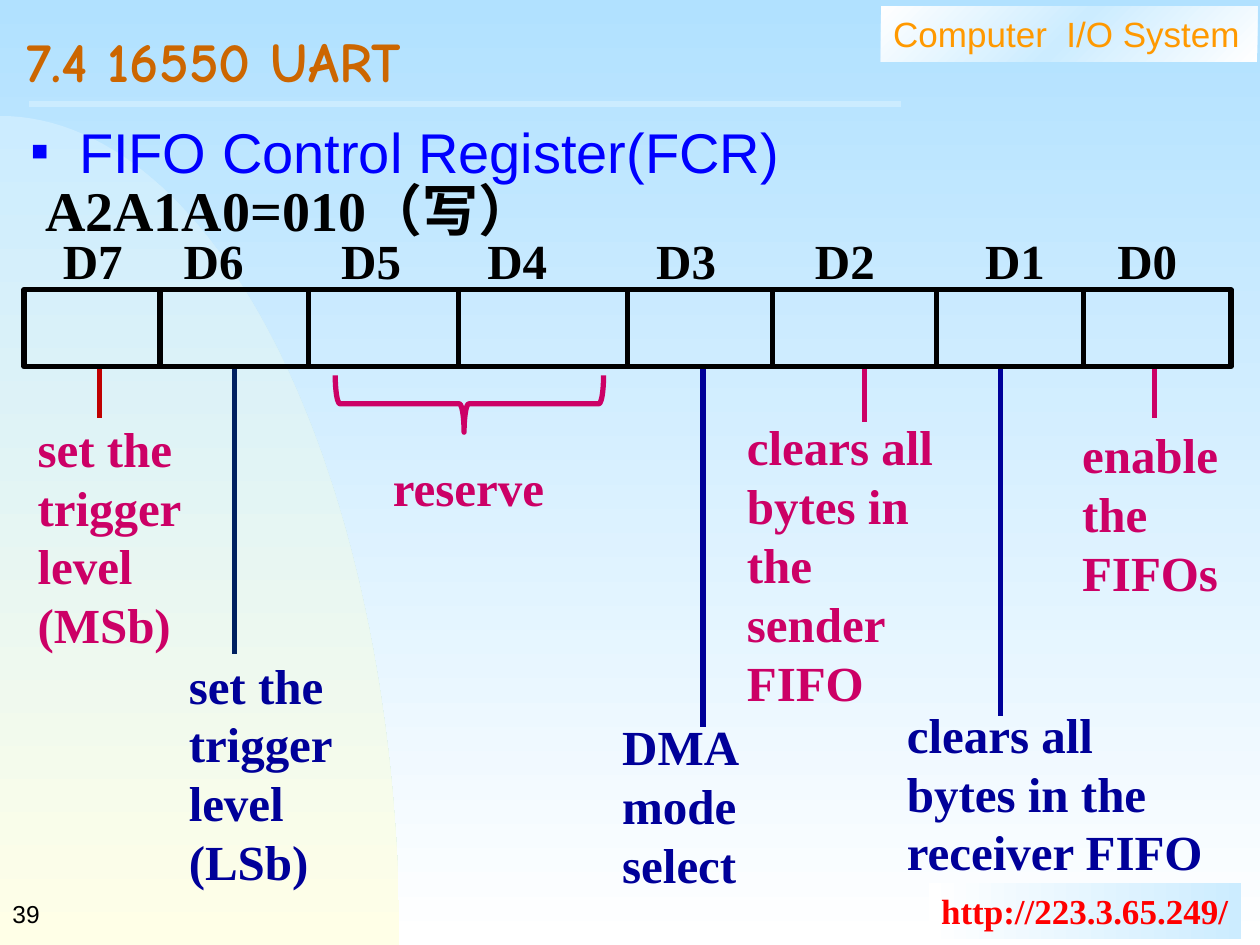
from copy import deepcopy
from dataclasses import dataclass
from math import cos, pi, sin
from typing import Optional

from lxml.etree import SubElement
from pptx import Presentation
from pptx.dml.color import RGBColor
from pptx.enum.shapes import MSO_CONNECTOR, MSO_SHAPE
from pptx.enum.text import MSO_ANCHOR, PP_ALIGN
from pptx.oxml.ns import qn
from pptx.util import Inches, Pt

WIDTH, HEIGHT = Inches(10), Inches(7.5)
COLUMNS, ROWS = 100, 75
SERIF, SANS, HAND = "Times New Roman", "Arial", "Comic Neue"
BLACK, NAVY, CRIMSON, PALE = "000000", "000099", "CC0066", "CCECFF"
REGISTER_TOP, REGISTER_BOTTOM = 23, 29.1


@dataclass(frozen=True)
class Area:
    left: float
    top: float
    width: float
    height: float

    def lengths(self) -> tuple:
        return (column(self.left), row(self.top), column(self.width), row(self.height))


@dataclass(frozen=True)
class Note:
    lines: tuple
    area: Area
    colour: str
    lead: Optional[float] = None
    lead_end: float = 33.2
    lead_colour: Optional[str] = None


NOTES = [
    Note(("set the trigger level", "(MSb)"), Area(2, 32.7, 14.3, 19.7), CRIMSON, 7.9, 33.2, "C00000"),
    Note(("set the trigger level", "(LSb)"), Area(14, 51.5, 15, 19.7), NAVY, 18.6, 51.9, "002060"),
    Note(("reserve",), Area(30.2, 35.8, 14.6, 5.7), CRIMSON),
    Note(("DMA mode select",), Area(48.4, 56.4, 12, 15), NAVY, 55.8, 57.7),
    Note(("clears all bytes in the sender FIFO",), Area(58.3, 32.6, 18.5, 24.4), CRIMSON, 68.6, 33.5),
    Note(("clears all bytes in the receiver FIFO",), Area(71, 55.4, 26, 15), NAVY, 79.4, 56.8),
    Note(("enable the FIFOs",), Area(84.9, 33.2, 13.7, 15), CRIMSON, 91.6, 33.2),
]
DIVIDERS = [12.7, 24.5, 36.4, 49.8, 61.3, 74.3, 86]
BIT_STOPS = [9.6, 22.1, 33.7, 47.1, 59.7, 73.2, 83.7]


def column(count: float) -> int:
    return round(WIDTH * count / COLUMNS)


def row(count: float) -> int:
    return round(HEIGHT * count / ROWS)


def colour_of(code: str) -> RGBColor:
    return RGBColor.from_string(code)


def paint_gradient(fill, element, angle: float, colours: list) -> None:
    fill.gradient()
    fill.gradient_angle = -angle % 360
    stops = next(element.iter(qn("a:gsLst")))
    while len(stops) < len(colours):
        stops.append(deepcopy(stops[0]))
    for index, (stop, code) in enumerate(zip(fill.gradient_stops, colours)):
        stop.position = index / (len(colours) - 1)
        stop.color.rgb = colour_of(code)


def write(frame, lines: tuple, face: str, size: float, colour: str,
          bold: bool = False, wrap: bool = True, anchor=MSO_ANCHOR.TOP) -> None:
    layout = {"word_wrap": wrap, "vertical_anchor": anchor,
              "margin_left": Inches(0.1), "margin_right": Inches(0.1),
              "margin_top": Inches(0.05), "margin_bottom": Inches(0.05)}
    for key, value in layout.items():
        setattr(frame, key, value)
    for index, line in enumerate(lines):
        paragraph = frame.paragraphs[0] if index == 0 else frame.add_paragraph()
        paragraph.alignment = PP_ALIGN.LEFT
        run = paragraph.add_run()
        run.text = line
        for key, value in {"name": face, "size": Pt(size), "bold": bold}.items():
            setattr(run.font, key, value)
        run.font.color.rgb = colour_of(colour)


def add_text(slide, area: Area, lines: tuple, face: str, size: float, colour: str, **options):
    frame = slide.shapes.add_textbox(*area.lengths()).text_frame
    write(frame, lines, face, size, colour, **options)
    return frame.paragraphs[0]


def add_banner(slide, area: Area, angle: float, colours: list, line: str,
               face: str, colour: str, **options) -> None:
    banner = slide.shapes.add_shape(MSO_SHAPE.RECTANGLE, *area.lengths())
    banner.shadow.inherit = False
    banner.line.fill.background()
    paint_gradient(banner.fill, banner.element, angle, colours)
    write(banner.text_frame, (line,), face, 20, colour, **options)


def add_outline(slide, kind, area: Area, colour: str):
    outline = slide.shapes.add_shape(kind, *area.lengths())
    outline.shadow.inherit = False
    outline.fill.background()
    outline.line.color.rgb = colour_of(colour)
    outline.line.width = Pt(3)
    return outline


def add_rule(slide, start: tuple, end: tuple, colour: str) -> None:
    rule = slide.shapes.add_connector(MSO_CONNECTOR.STRAIGHT, column(start[0]), row(start[1]),
                                      column(end[0]), row(end[1]))
    rule.line.color.rgb = colour_of(colour)
    rule.line.width = Pt(3)
    SubElement(rule.element.spPr, qn("a:effectLst"))


def add_backdrop(slide) -> None:
    paint_gradient(slide.background.fill, slide.element, 90, ["B1E1FF", "FFFFFF"])
    steps, reach, rise = 60, 31.7, 65.8
    arc = [(column(reach * sin(pi / 2 * step / steps)),
            row(ROWS - rise * cos(pi / 2 * step / steps))) for step in range(steps + 1)]
    builder = slide.shapes.build_freeform(*arc[0])
    builder.add_line_segments(arc[1:] + [(0, HEIGHT)], close=True)
    hill = builder.convert_to_shape()
    hill.shadow.inherit = False
    hill.line.fill.background()
    paint_gradient(hill.fill, hill.element, 90, [PALE, "FFFFE7"])
    add_banner(slide, Area(69.9, 0.5, 29.9, 4.4), 45, ["FFFFFF", PALE, "FFFFFF"],
               "Computer  I/O System", SANS, "FF9900")
    add_banner(slide, Area(73.7, 70.1, 24.8, 4.4), 0, ["FFFFFF", PALE],
               "http://223.3.65.249/", SERIF, "FF0000", bold=True, wrap=False)
    add_rule(slide, (2.3, 8.25), (71.5, 8.25), PALE)
    add_text(slide, Area(0, 70, 20.8, 5), ("39",), SANS, 14, BLACK, anchor=MSO_ANCHOR.MIDDLE)


def add_headings(slide) -> None:
    title = slide.shapes.title
    for key, value in zip(("left", "top", "width", "height"), Area(1.1, 1.6, 95.5, 7.7).lengths()):
        setattr(title, key, value)
    write(title.text_frame, ("7.4 16550 UART",), HAND, 32, "CC6600",
          bold=True, anchor=MSO_ANCHOR.MIDDLE)
    title.text_frame.paragraphs[0].line_spacing = 0.7
    topic = add_text(slide, Area(1.5, 8.8, 96, 61.7), ("FIFO Control Register(FCR)",),
                     SANS, 32, "0000FF")
    properties = topic._p.get_or_add_pPr()
    properties.set("marL", str(column(3.8)))
    properties.set("indent", str(-column(3.8)))
    SubElement(SubElement(properties, qn("a:buClr")), qn("a:srgbClr"), val="0000FF")
    SubElement(properties, qn("a:buSzPct"), val="50000")
    SubElement(properties, qn("a:buFont"), typeface=SANS)
    SubElement(properties, qn("a:buChar"), char="■")
    add_text(slide, Area(2.6, 13.4, 47.6, 6.4), ("A2A1A0=010（写）",), SERIF, 32, BLACK, bold=True)


def add_register(slide) -> None:
    add_outline(slide, MSO_SHAPE.RECTANGLE,
                Area(1.9, REGISTER_TOP, 95.8, REGISTER_BOTTOM - REGISTER_TOP), BLACK)
    for place in DIVIDERS:
        add_rule(slide, (place, REGISTER_TOP), (place, REGISTER_BOTTOM), BLACK)
    bits = add_text(slide, Area(4, 17.8, 92, 5.7),
                    ("\t".join(f"D{bit}" for bit in range(7, -1, -1)),),
                    SERIF, 28, BLACK, bold=True)
    stops = SubElement(bits._p.get_or_add_pPr(), qn("a:tabLst"))
    for place in BIT_STOPS:
        SubElement(stops, qn("a:tab"), pos=str(column(place)), algn="l")


def add_notes(slide) -> None:
    for note in NOTES:
        if note.lead is not None:
            add_rule(slide, (note.lead, REGISTER_BOTTOM + 0.2), (note.lead, note.lead_end),
                     note.lead_colour or note.colour)
        add_text(slide, note.area, note.lines, SERIF, 28, note.colour, bold=True)
    brace = add_outline(slide, MSO_SHAPE.RIGHT_BRACE, Area(35, 21.4, 4.5, 21.3), CRIMSON)
    brace.rotation = 90
    brace.adjustments[1] = 0.52


def main() -> None:
    deck = Presentation()
    deck.slide_width, deck.slide_height = WIDTH, HEIGHT
    slide = deck.slides.add_slide(deck.slide_layouts[5])
    for draw in (add_backdrop, add_headings, add_register, add_notes):
        draw(slide)
    deck.save("out.pptx")


if __name__ == "__main__":
    main()
